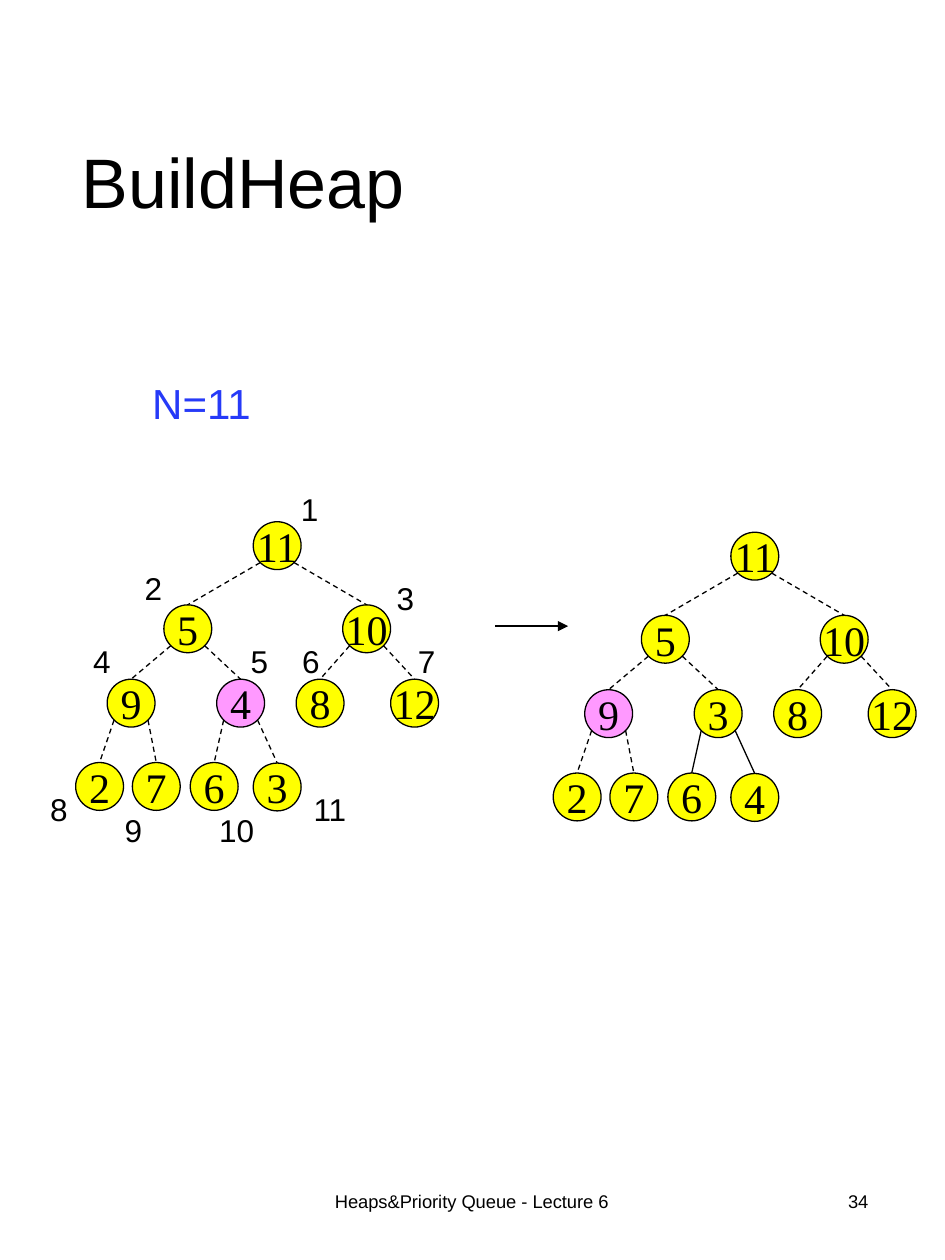
"""Build the BuildHeap slide: two heap trees joined by an arrow."""
from dataclasses import dataclass

from lxml import etree
from pptx import Presentation
from pptx.dml.color import RGBColor
from pptx.enum import dml, shapes, text
from pptx.oxml import ns
from pptx.util import Pt


@dataclass(frozen=True)
class Theme:
    ink: str = "000000"
    node: str = "FFFF00"
    current: str = "FF99FF"
    note: str = "263AF8"
    sans: str = "Arial"
    serif: str = "Times New Roman"
    title_size: float = 40
    node_size: float = 24
    index_size: float = 18
    footer_size: float = 10.5
    line: float = 0.75


theme = Theme()


def write(sp, words, size, color=theme.ink, font=theme.sans,
          align=text.PP_ALIGN.LEFT, anchor=text.MSO_ANCHOR.MIDDLE, wrap=False):
    tf = sp.text_frame
    tf.word_wrap = wrap
    tf.vertical_anchor = anchor
    p = tf.paragraphs[0]
    p.alignment = align
    r = p.add_run()
    r.text = words
    r.font.size = Pt(size)
    r.font.name = font
    r.font.color.rgb = RGBColor.from_string(color)
    return tf


def add_line(x1, y1, x2, y2, dashed=False, arrow=False):
    c = s.shapes.add_connector(shapes.MSO_CONNECTOR.STRAIGHT, Pt(x1), Pt(y1), Pt(x2), Pt(y2))
    c.line.color.rgb = RGBColor.from_string(theme.ink)
    c.line.width = Pt(theme.line)
    if dashed:
        c.line.dash_style = dml.MSO_LINE.DASH
    if arrow:
        etree.SubElement(c.line._get_or_add_ln(), ns.qn("a:tailEnd"), type="triangle")
    etree.SubElement(c._element.spPr, ns.qn("a:effectLst"))


prs = Presentation()
prs.slide_width, prs.slide_height = Pt(540), Pt(720)
s = prs.slides.add_slide(prs.slide_layouts[5])

title = s.shapes.title
title.left, title.top, title.width, title.height = Pt(39.6), Pt(36.7), Pt(465.8), Pt(139)
tf = write(title, "BuildHeap", theme.title_size, wrap=True)
tf.auto_size = text.MSO_AUTO_SIZE.NONE
tf.paragraphs[0].line_spacing = 0.9

for words, x, width, align in [
    ("Heaps&Priority Queue - Lecture 6", 178.6, 182.2, text.PP_ALIGN.CENTER),
    ("34", 381.6, 121.7, text.PP_ALIGN.RIGHT),
]:
    sp = s.shapes.add_textbox(Pt(x), Pt(667.4), Pt(width), Pt(38.2))
    write(sp, words, theme.footer_size, align=align, wrap=True)

DIAMETER = 27.36
RADIUS = DIAMETER / 2
DIAGONAL = RADIUS * 0.71
centers = [
    (158.4, 311.8),
    (107.3, 359.3), (209.5, 359.3),
    (74.9, 401.8), (137.5, 401.8), (182.9, 401.8), (236.9, 401.8),
    (56.9, 449.4), (89.3, 449.4), (122.4, 449.4), (158.4, 449.7),
]
trees = [
    (0, 0, [11, 5, 10, 9, 4, 8, 12, 2, 7, 6, 3], 4, []),
    (272.9, 6, [11, 5, 10, 9, 3, 8, 12, 2, 7, 6, 4], 3, [4]),
]
for dx, dy, keys, current, settled in trees:
    for i, (key, (cx, cy)) in enumerate(zip(keys, centers)):
        x, y = cx + dx, cy + dy
        if i:
            parent = (i - 1) // 2
            px, py = centers[parent]
            side = DIAGONAL if i % 2 == 0 else -DIAGONAL
            add_line(px + dx + side, py + dy + DIAGONAL, x, y - RADIUS,
                     dashed=parent not in settled)
        sp = s.shapes.add_shape(shapes.MSO_SHAPE.OVAL, Pt(x - RADIUS), Pt(y - RADIUS),
                                Pt(DIAMETER), Pt(DIAMETER))
        sp.shadow.inherit = False
        sp.fill.solid()
        sp.fill.fore_color.rgb = RGBColor.from_string(theme.current if i == current else theme.node)
        sp.line.color.rgb = RGBColor.from_string(theme.ink)
        sp.line.width = Pt(theme.line)
        write(sp, str(key), theme.node_size, font=theme.serif, align=text.PP_ALIGN.CENTER)

add_line(283, 357.8, 324.7, 357.8, arrow=True)

labels = [("N=11", 79.9, 212.4, 76.3, 36, theme.node_size, theme.note)]
index_spots = [
    (164.9, 276.5), (75.6, 321.8), (219.6, 327.6), (46.1, 363.6), (136.1, 363.6), (165.6, 363.6),
    (231.8, 363.6), (21.6, 447.8), (64.1, 460.1), (118.1, 460.1), (172.1, 447.8),
]
for i, (x, y) in enumerate(index_spots, 1):
    labels.append((str(i), x, y, 24.5 if i < 10 else 34.6, 28.8, theme.index_size, theme.ink))
for words, x, y, width, height, size, color in labels:
    sp = s.shapes.add_textbox(Pt(x), Pt(y), Pt(width), Pt(height))
    tf = write(sp, words, size, color, anchor=text.MSO_ANCHOR.TOP)
    tf.auto_size = text.MSO_AUTO_SIZE.SHAPE_TO_FIT_TEXT

prs.save("out.pptx")
